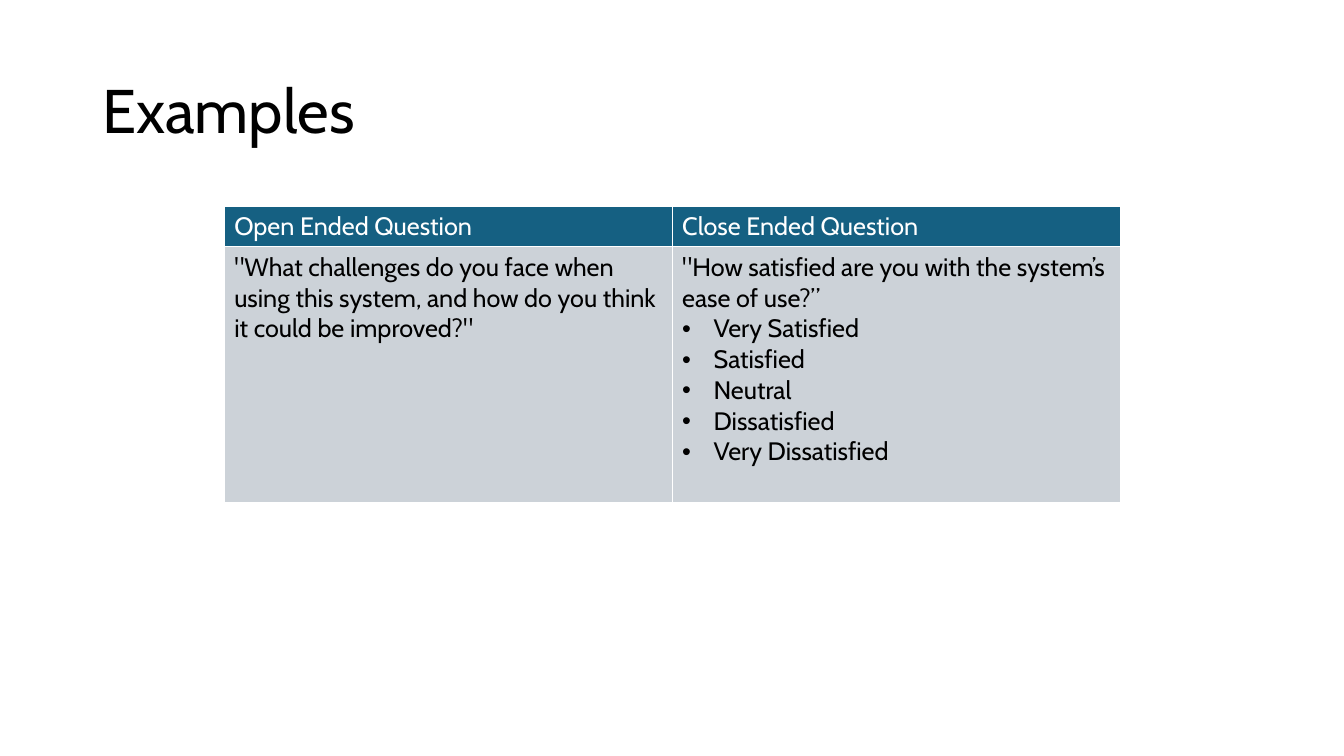
from pptx import Presentation
from pptx.dml.color import RGBColor
from pptx.enum.text import MSO_ANCHOR
from pptx.oxml import parse_xml
from pptx.oxml.ns import nsdecls
from pptx.util import Cm, Pt

WHITE = RGBColor(0xFF, 0xFF, 0xFF)
BLACK = RGBColor(0, 0, 0)
TEAL = RGBColor(0x15, 0x60, 0x82)
GREY = RGBColor(0xCC, 0xD2, 0xD8)
FONT = "Cabin"


def write(para, text, size=18, color=BLACK, bullet=False):
    run = para.add_run()
    run.text = text
    run.font.name = FONT
    run.font.size = Pt(size)
    run.font.bold = False
    run.font.color.rgb = color
    if bullet:
        props = para._p.get_or_add_pPr()
        props.set("marL", str(Cm(0.79)))
        props.set("indent", str(-Cm(0.79)))
        props.append(parse_xml(f'<a:buFont {nsdecls("a")} typeface="Arial"/>'))
        props.append(parse_xml(f'<a:buChar {nsdecls("a")} char="•"/>'))


def border(cell):
    props = cell._tc.get_or_add_tcPr()
    for side in ("lnL", "lnR", "lnT", "lnB"):
        props.append(parse_xml(
            f'<a:{side} {nsdecls("a")} w="{Pt(1)}"><a:solidFill>'
            f'<a:srgbClr val="{WHITE}"/></a:solidFill></a:{side}>'))


deck = Presentation()
deck.slide_width = Cm(33.87)
deck.slide_height = Cm(19.05)
slide = deck.slides.add_slide(deck.slide_layouts[6])

title = slide.shapes.add_textbox(Cm(2.33), Cm(1.01), Cm(29.21), Cm(3.68))
frame = title.text_frame
frame.word_wrap = True
frame.vertical_anchor = MSO_ANCHOR.MIDDLE
frame.paragraphs[0].line_spacing = 0.9
write(frame.paragraphs[0], "Examples", size=44)

heads = ["Open Ended Question", "Close Ended Question"]
asks = [
    '"What challenges do you face when using this system, '
    'and how do you think it could be improved?"',
    '"How satisfied are you with the system’s ease of use?”',
]
scale = ["Very Satisfied", "Satisfied", "Neutral", "Dissatisfied", "Very Dissatisfied"]

table = slide.shapes.add_table(2, 2, Cm(5.65), Cm(5.19), Cm(22.58), Cm(7.48)).table
table.horz_banding = False
table.rows[0].height = Cm(1.03)
table.rows[1].height = Cm(6.45)

rows = [(heads, TEAL, WHITE), (asks, GREY, BLACK)]
for row, (texts, back, color) in enumerate(rows):
    for col, text in enumerate(texts):
        cell = table.cell(row, col)
        border(cell)
        cell.fill.solid()
        cell.fill.fore_color.rgb = back
        write(cell.text_frame.paragraphs[0], text, color=color)

for grade in scale:
    write(table.cell(1, 1).text_frame.add_paragraph(), grade, bullet=True)

deck.save("out.pptx")
